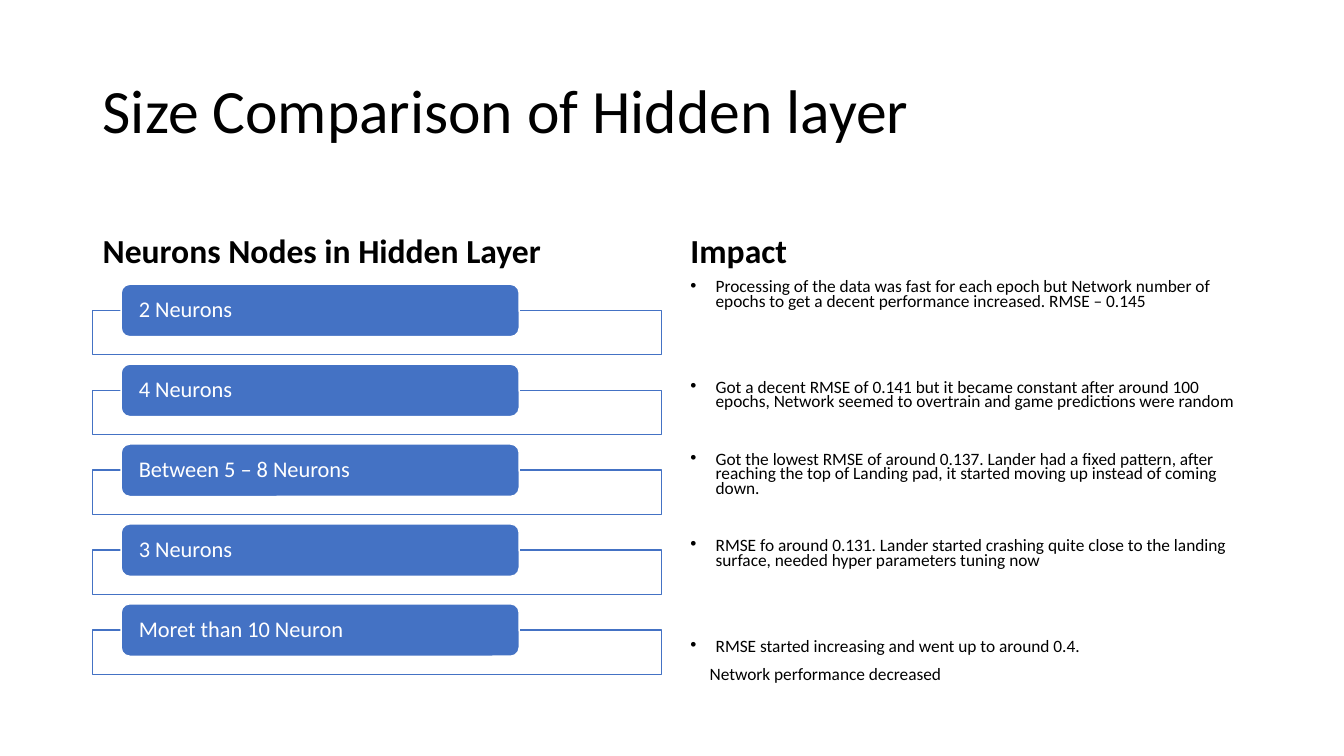
from lxml import etree
from pptx import Presentation
from pptx.dml.color import RGBColor
from pptx.enum.shapes import MSO_SHAPE
from pptx.enum.text import MSO_ANCHOR, PP_ALIGN
from pptx.oxml.ns import qn
from pptx.util import Inches, Pt

BLACK = RGBColor(0x00, 0x00, 0x00)
WHITE = RGBColor(0xFF, 0xFF, 0xFF)
BLUE = RGBColor(0x44, 0x72, 0xC4)

SLIDE_WIDTH, SLIDE_HEIGHT = 13.33, 7.5

# Regions: left, top, width, height in inches
TITLE_BOX = (0.92, 0.4, 11.5, 1.45)
NEURONS_HEADING_BOX = (0.92, 1.84, 5.64, 0.9)
NEURONS_BOX = (0.92, 2.82, 5.64, 3.87)
IMPACT_HEADING_BOX = (6.75, 1.84, 5.67, 0.9)
IMPACT_BOX = (6.75, 2.74, 5.67, 4.1)

TITLE_FONT = {"name": "Calibri", "size": Pt(44)}
HEADING_FONT = {"name": "Calibri", "size": Pt(24), "bold": True}
LABEL_FONT = {"name": "Calibri", "size": Pt(16)}
IMPACT_FONT = {"name": "Calibri", "size": Pt(12.4)}

NEURON_SIZES = [
    "2 Neurons",
    "4 Neurons",
    "Between 5 – 8 Neurons",
    "3 Neurons",
    "Moret than 10 Neuron",
]

# Text, space before in points, bulleted
IMPACTS = [
    ("Processing of the data was fast for each epoch but Network number of "
     "epochs to get a decent performance increased. RMSE – 0.145", 10, True),
    ("Got a decent RMSE of 0.141 but it became constant after around 100 "
     "epochs, Network seemed to overtrain and game predictions were random", 51, True),
    ("Got the lowest RMSE of around 0.137. Lander had a fixed pattern, after "
     "reaching the top of Landing pad, it started moving up instead of coming "
     "down.", 30.5, True),
    ("RMSE fo around 0.131. Lander started crashing quite close to the landing "
     "surface, needed hyper parameters tuning now", 30.5, True),
    ("RMSE started increasing and went up to around 0.4.", 51, True),
    ("Network performance decreased", 10, False),
]


def set_attributes(target, values):
    for name, value in values.items():
        setattr(target, name, value)


def write_paragraph(paragraph, text, font, color, line_spacing=0.9):
    set_attributes(paragraph, {"alignment": PP_ALIGN.LEFT, "line_spacing": line_spacing})
    run = paragraph.add_run()
    run.text = text
    set_attributes(run.font, font)
    run.font.color.rgb = color


def add_text_frame(slide, box, anchor):
    text_frame = slide.shapes.add_textbox(*map(Inches, box)).text_frame
    set_attributes(text_frame, {"word_wrap": True, "vertical_anchor": anchor})
    return text_frame


def add_heading(slide, box, text, font, anchor):
    text_frame = add_text_frame(slide, box, anchor)
    write_paragraph(text_frame.paragraphs[0], text, font, BLACK)


def add_block(slide, kind, box, fill, line):
    shape = slide.shapes.add_shape(kind, *map(Inches, box))
    shape.shadow.inherit = False
    shape.fill.solid()
    shape.fill.fore_color.rgb = fill
    shape.line.color.rgb = line
    shape.line.width = Pt(1)
    return shape


def add_neuron_list(slide, box, labels):
    left, top, width, height = box
    bar_height, frame_height = 0.52, 0.44
    row_height = bar_height / 2 + frame_height
    pitch = (height - row_height) / (len(labels) - 1)
    for row, label in enumerate(labels):
        bar_top = top + row * pitch
        # Open frame that starts at the middle of the bar
        frame = add_block(slide, MSO_SHAPE.RECTANGLE,
                          (left, bar_top + bar_height / 2, width, frame_height), WHITE, BLUE)
        color = frame.fill._xPr.find(".//" + qn("a:srgbClr"))
        etree.SubElement(color, qn("a:alpha"), val="90000")
        # Labelled bar
        bar = add_block(slide, MSO_SHAPE.ROUNDED_RECTANGLE,
                        (left + width * 0.05, bar_top, width * 0.7, bar_height), BLUE, WHITE)
        set_attributes(bar.text_frame, {
            "word_wrap": True, "vertical_anchor": MSO_ANCHOR.MIDDLE,
            "margin_left": Inches(0.15), "margin_right": Inches(0.15),
            "margin_top": 0, "margin_bottom": 0})
        write_paragraph(bar.text_frame.paragraphs[0], label, LABEL_FONT, WHITE)


def set_indent(paragraph, bulleted):
    properties = paragraph._p.get_or_add_pPr()
    properties.set("marL", str(Inches(0.25 if bulleted else 0.19)))
    if bulleted:
        properties.set("indent", str(Inches(-0.25)))
        etree.SubElement(properties, qn("a:buFont"), typeface="Arial")
        etree.SubElement(properties, qn("a:buChar"), char="•")


def add_impact_list(slide, box, impacts):
    text_frame = add_text_frame(slide, box, MSO_ANCHOR.TOP)
    for index, (text, space_before, bulleted) in enumerate(impacts):
        paragraph = text_frame.add_paragraph() if index else text_frame.paragraphs[0]
        write_paragraph(paragraph, text, IMPACT_FONT, BLACK, line_spacing=0.7)
        paragraph.space_before = Pt(space_before)
        set_indent(paragraph, bulleted)


def build_comparison_slide(presentation):
    slide = presentation.slides.add_slide(presentation.slide_layouts[6])
    # Title
    add_heading(slide, TITLE_BOX, "Size Comparison of Hidden layer",
                TITLE_FONT, MSO_ANCHOR.MIDDLE)
    # Left column
    add_heading(slide, NEURONS_HEADING_BOX, "Neurons Nodes in Hidden Layer",
                HEADING_FONT, MSO_ANCHOR.BOTTOM)
    add_neuron_list(slide, NEURONS_BOX, NEURON_SIZES)
    # Right column
    add_heading(slide, IMPACT_HEADING_BOX, "Impact", HEADING_FONT, MSO_ANCHOR.BOTTOM)
    add_impact_list(slide, IMPACT_BOX, IMPACTS)


def main():
    presentation = Presentation()
    presentation.slide_width = Inches(SLIDE_WIDTH)
    presentation.slide_height = Inches(SLIDE_HEIGHT)
    build_comparison_slide(presentation)
    presentation.save("out.pptx")


if __name__ == "__main__":
    main()
